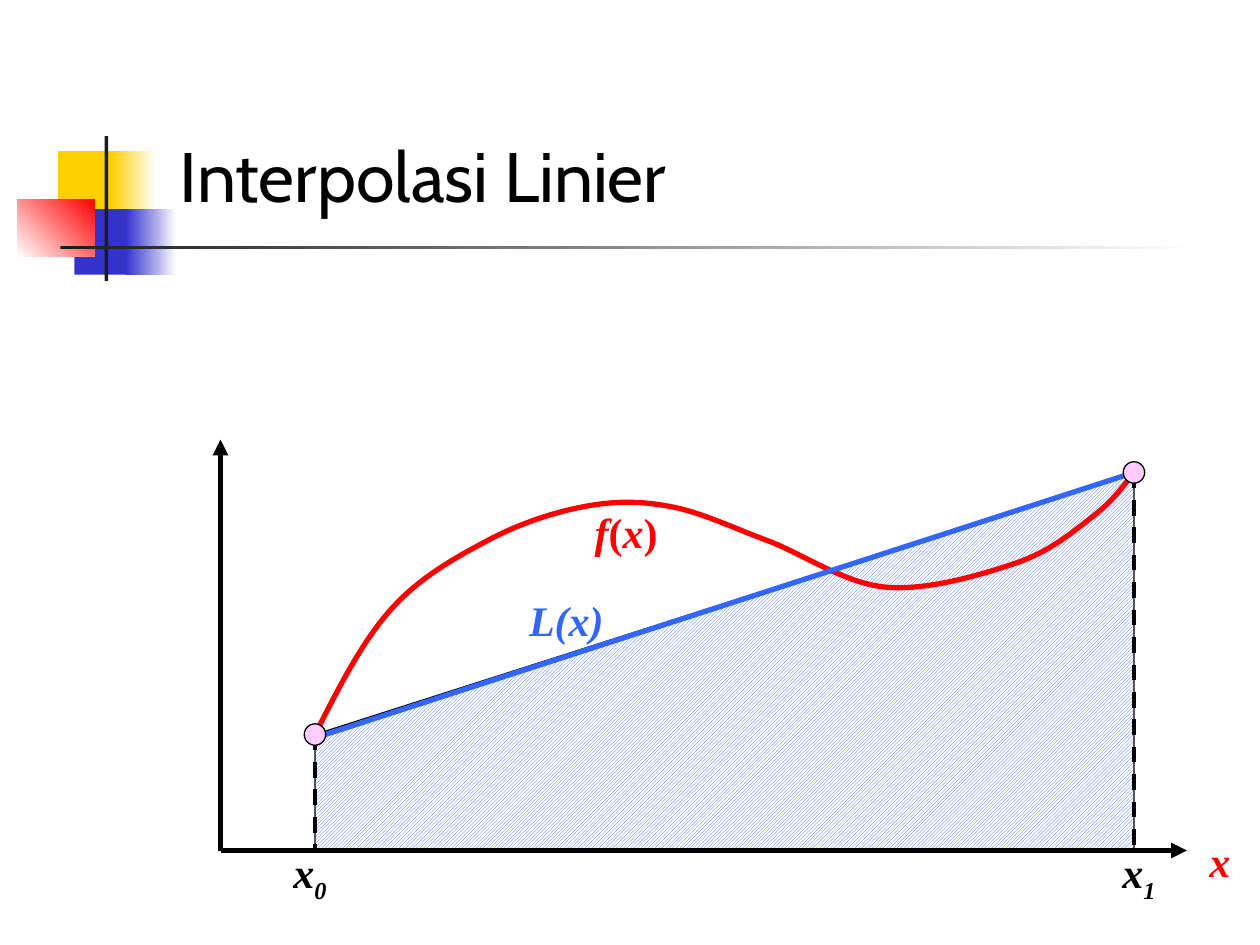
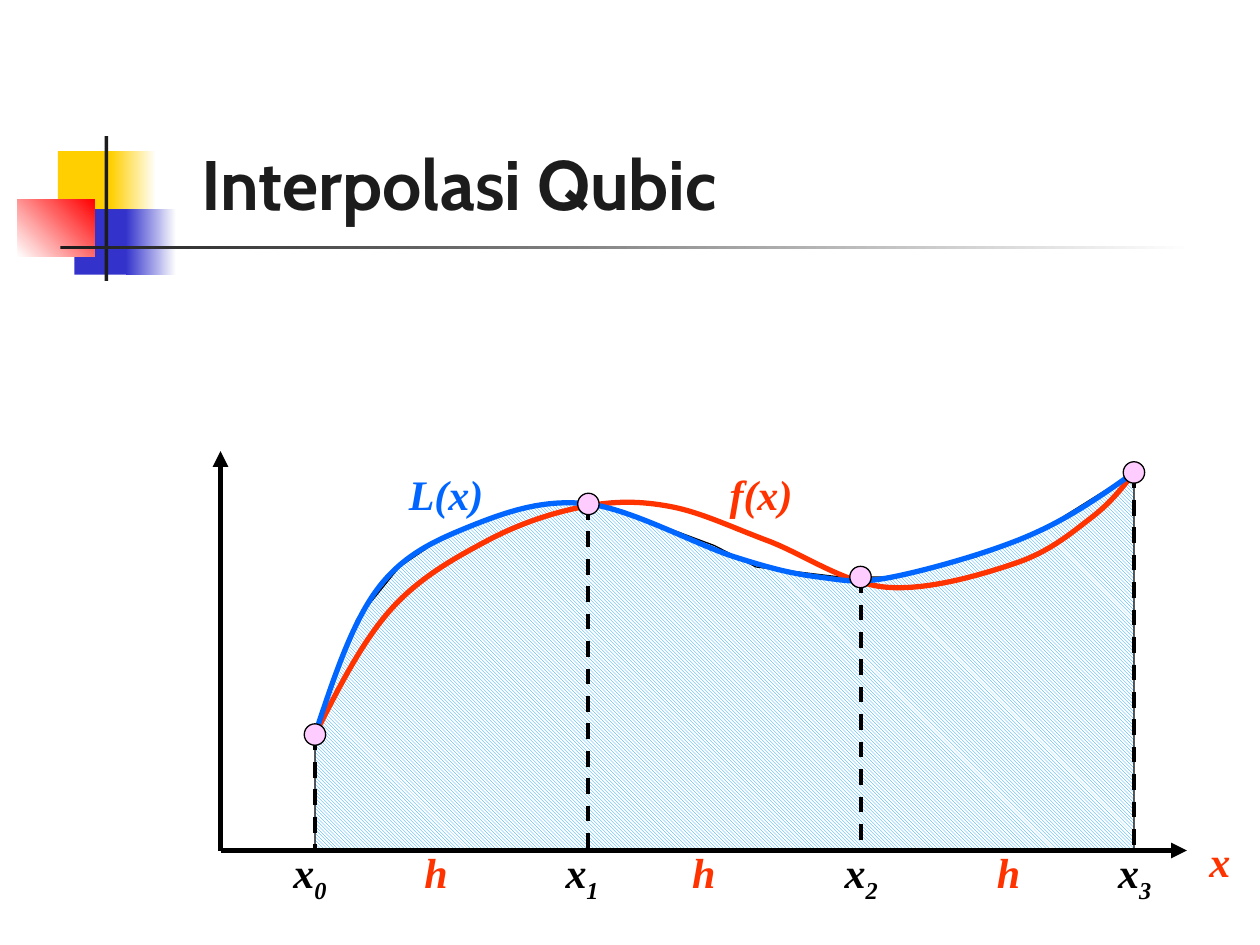
from lxml import etree
from pptx import Presentation
from pptx.dml.color import RGBColor
from pptx.enum.dml import MSO_LINE, MSO_PATTERN
from pptx.enum.shapes import MSO_CONNECTOR, MSO_SHAPE
from pptx.enum.text import MSO_ANCHOR, MSO_AUTO_SIZE, PP_ALIGN
from pptx.oxml.ns import qn
from pptx.util import Inches, Pt

# Colours
BLACK = RGBColor(0x00, 0x00, 0x00)
WHITE = RGBColor(0xFF, 0xFF, 0xFF)
DARK = RGBColor(0x1C, 0x1C, 0x1C)
YELLOW = RGBColor(0xFF, 0xCF, 0x01)
INDIGO = RGBColor(0x33, 0x33, 0xCC)
RED = RGBColor(0xFF, 0x00, 0x00)
ORANGE = RGBColor(0xFF, 0x33, 0x00)
LINEAR_BLUE = RGBColor(0x33, 0x66, 0xFF)
CUBIC_BLUE = RGBColor(0x00, 0x66, 0xFF)
HATCH_BLUE = RGBColor(0x00, 0x99, 0xFF)
PINK = RGBColor(0xFF, 0xCC, 0xFF)

# Fonts
TITLE_FONT = "Cabin"
MATH_FONT = "Times New Roman"

# Plot geometry, in inches
AXIS_X, AXIS_Y, AXIS_END = 1.75, 6.75, 9.42
LABEL_TOP = 6.67
DOT = 0.17
START, END = (2.5, 5.83), (9, 3.75)
CUBIC_NODES = [START, (4.67, 4), (6.83, 4.58), END]
F_KNOTS = [START, (3.1, 4.84), (3.87, 4.29), (4.64, 4.02), (5.32, 4.02),
           (6.09, 4.29), (7.03, 4.66), (8.06, 4.47), (8.66, 4.11), END]
CUBIC_KNOTS = [START, (3, 4.67), (3.75, 4.17), (4.67, 4), (5.83, 4.42),
               (6.5, 4.58), (7.08, 4.58), (8.17, 4.25), END]
CUBIC_AREA = [START, (2.83, 4.92), (3.17, 4.5), (3.42, 4.33), (3.75, 4.17),
              (4.25, 4), (4.67, 4), (5, 4.08), (5.67, 4.33), (6, 4.5),
              (6.67, 4.58), (7.08, 4.58), (7.75, 4.42), (8.33, 4.17), END]


def add_rect(s, left, top, width, height, color, end=None, angle=0):
    """Rectangle with a solid fill, or a gradient when an end colour is given."""
    sp = s.shapes.add_shape(MSO_SHAPE.RECTANGLE, Inches(left), Inches(top),
                            Inches(width), Inches(height))
    sp.shadow.inherit = False
    sp.line.fill.background()
    if end is None:
        sp.fill.solid()
        sp.fill.fore_color.rgb = color
    else:
        sp.fill.gradient()
        sp.fill.gradient_angle = angle
        for stop, rgb in zip(sp.fill.gradient_stops, (color, end)):
            stop.color.rgb = rgb


def add_band(s):
    """Coloured blocks and crossing rules beside the title."""
    add_rect(s, 0.46, 1.2, 0.48, 0.52, YELLOW)
    add_rect(s, 0.88, 1.2, 0.36, 0.52, YELLOW, WHITE)
    add_rect(s, 0.59, 1.66, 0.46, 0.52, INDIGO)
    add_rect(s, 1, 1.66, 0.4, 0.52, INDIGO, WHITE)
    add_rect(s, 0.14, 1.58, 0.61, 0.46, WHITE, RED, 45)
    add_rect(s, 0.83, 1.08, 0.03, 1.15, DARK)
    add_rect(s, 0.48, 1.95, 9, 0.03, DARK, WHITE)


def add_text(s, left, top, width, height, parts):
    """Text box holding one paragraph with a run for each part."""
    tf = s.shapes.add_textbox(Inches(left), Inches(top),
                              Inches(width), Inches(height)).text_frame
    tf.word_wrap = True
    p = tf.paragraphs[0]
    for part in parts:
        p.add_run().text = part
    return tf, p


def set_half_space_before(p):
    space = etree.SubElement(p._p.get_or_add_pPr(), qn("a:spcBef"))
    etree.SubElement(space, qn("a:spcPct")).set("val", "50000")


def add_title(s, text, left, top, width, height, color, bold=False):
    tf, p = add_text(s, left, top, width, height, [text])
    font = p.runs[0].font
    font.name, font.size, font.bold = TITLE_FONT, Pt(40), bold
    font.color.rgb = color
    return tf, p


def add_label(s, left, top, width, parts, color, upright="", sub=False):
    """Centred formula; parts listed in upright are not italic."""
    tf, p = add_text(s, left, top, width, 0.5, parts)
    tf.auto_size = MSO_AUTO_SIZE.SHAPE_TO_FIT_TEXT
    p.alignment = PP_ALIGN.CENTER
    set_half_space_before(p)
    for r in p.runs:
        r.font.name, r.font.size, r.font.bold = MATH_FONT, Pt(24), True
        r.font.italic = r.text not in upright
        r.font.color.rgb = color
    if sub:
        p.runs[-1].font._element.set("baseline", "-25000")


def add_line(s, start, end, color=BLACK, width=3.0, dashed=False, arrow=False):
    cx = s.shapes.add_connector(MSO_CONNECTOR.STRAIGHT,
                                *(Inches(v) for v in (*start, *end)))
    cx.line.color.rgb = color
    cx.line.width = Pt(width)
    if dashed:
        cx.line.dash_style = MSO_LINE.DASH
    if arrow:
        etree.SubElement(cx.line._get_or_add_ln(), qn("a:tailEnd")).set("type", "triangle")
    etree.SubElement(cx._element.spPr, qn("a:effectLst"))


def add_outline(s, points, close):
    emu = [(Inches(x), Inches(y)) for x, y in points]
    builder = s.shapes.build_freeform(*emu[0])
    builder.add_line_segments(emu[1:], close=close)
    sp = builder.convert_to_shape()
    sp.shadow.inherit = False
    return sp


def add_area(s, top_edge, pattern, color):
    """Hatched area between the top edge and the x axis."""
    sp = add_outline(s, top_edge + [(END[0], AXIS_Y), (START[0], AXIS_Y)], True)
    sp.fill.patterned()
    sp.fill.pattern = pattern
    sp.fill.fore_color.rgb = color
    sp.fill.back_color.rgb = WHITE
    sp.line.color.rgb = BLACK
    sp.line.width = Pt(0.75)


def spline_segments(knots):
    """Bezier segments whose tangents run parallel to the neighbouring knots."""
    def shift(a, b, c, sign):
        return tuple(m + sign * (n - k) / 6 for k, m, n in zip(a, b, c))

    def middle(a, b):
        return tuple((m + n) / 2 for m, n in zip(a, b))

    last = len(knots) - 2
    for i, (a, b) in enumerate(zip(knots, knots[1:])):
        c1 = shift(knots[i - 1], a, b, 1) if i > 0 else None
        c2 = shift(a, b, knots[i + 2], -1) if i < last else middle(c1, b)
        yield c1 or middle(a, c2), c2, b


def add_curve(s, knots, color):
    """Smooth curve: each straight segment becomes a cubic one."""
    sp = add_outline(s, knots, False)
    sp.fill.background()
    sp.line.color.rgb = color
    sp.line.width = Pt(3)
    segments = list(sp._element.iter(qn("a:lnTo")))
    for seg, points in zip(segments, spline_segments(knots)):
        cubic = etree.Element(qn("a:cubicBezTo"))
        for x, y in points:
            pt = etree.SubElement(cubic, qn("a:pt"))
            pt.set("x", str(Inches(x) - sp.left))
            pt.set("y", str(Inches(y) - sp.top))
        seg.getparent().replace(seg, cubic)


def add_axes(s, top, color):
    origin = (AXIS_X, AXIS_Y)
    add_line(s, origin, (AXIS_END, AXIS_Y), arrow=True)
    add_line(s, origin, (AXIS_X, top), arrow=True)
    add_label(s, 9.5, 6.58, 0.33, ["x"], color)


def add_drop_lines(s, nodes):
    for x, y in nodes:
        add_line(s, (x, y), (x, AXIS_Y), width=2.25, dashed=True)


def add_node_labels(s, boxes):
    for i, (left, width) in enumerate(boxes):
        add_label(s, left, LABEL_TOP, width, ["x", str(i)], BLACK, sub=True)


def add_dots(s, nodes):
    for x, y in nodes:
        sp = s.shapes.add_shape(MSO_SHAPE.OVAL, Inches(x - DOT / 2), Inches(y - DOT / 2),
                                Inches(DOT), Inches(DOT))
        sp.shadow.inherit = False
        sp.fill.solid()
        sp.fill.fore_color.rgb = PINK
        sp.line.color.rgb = BLACK
        sp.line.width = Pt(0.75)


def build_linear(s):
    add_band(s)
    add_area(s, [START, END], MSO_PATTERN.DARK_UPWARD_DIAGONAL, LINEAR_BLUE)
    add_axes(s, 3.49, RED)
    add_curve(s, F_KNOTS, RED)
    add_drop_lines(s, [START, END])
    add_node_labels(s, [(2.17, 0.58), (8.75, 0.58)])
    add_label(s, 4.51, 3.97, 0.92, ["f", "(", "x", ")"], RED, upright="()")
    add_line(s, (2.58, 5.83), END, LINEAR_BLUE)
    add_dots(s, [START, END])
    add_label(s, 3.58, 4.67, 1.83, ["L(x)"], LINEAR_BLUE)
    tf, p = add_title(s, "Interpolasi Linier", 1.33, 1, 5.75, 0.77, BLACK)
    tf.auto_size = MSO_AUTO_SIZE.SHAPE_TO_FIT_TEXT
    set_half_space_before(p)


def build_cubic(s):
    add_band(s)
    add_area(s, CUBIC_AREA, MSO_PATTERN.DARK_DOWNWARD_DIAGONAL, HATCH_BLUE)
    tf, _ = add_title(s, "Interpolasi Qubic", 1.5, 1.25, 8.5, 0.58, DARK, bold=True)
    tf.vertical_anchor = MSO_ANCHOR.BOTTOM
    add_axes(s, 3.58, ORANGE)
    add_curve(s, F_KNOTS, ORANGE)
    add_drop_lines(s, CUBIC_NODES)
    add_node_labels(s, [(2.17, 0.58), (4.33, 0.58), (6.5, 0.67), (8.67, 0.67)])
    for left, width in [(3.17, 0.58), (5.25, 0.67), (7.67, 0.67)]:
        add_label(s, left, LABEL_TOP, width, ["h"], ORANGE)
    add_label(s, 5.58, 3.67, 0.92, ["f(x)"], ORANGE)
    add_label(s, 3.08, 3.67, 0.92, ["L(x)"], CUBIC_BLUE)
    add_curve(s, CUBIC_KNOTS, CUBIC_BLUE)
    add_dots(s, CUBIC_NODES)


def main():
    prs = Presentation()
    prs.slide_width, prs.slide_height = Inches(10), Inches(7.5)
    for build in (build_linear, build_cubic):
        build(prs.slides.add_slide(prs.slide_layouts[6]))
    prs.save("out.pptx")


if __name__ == "__main__":
    main()
